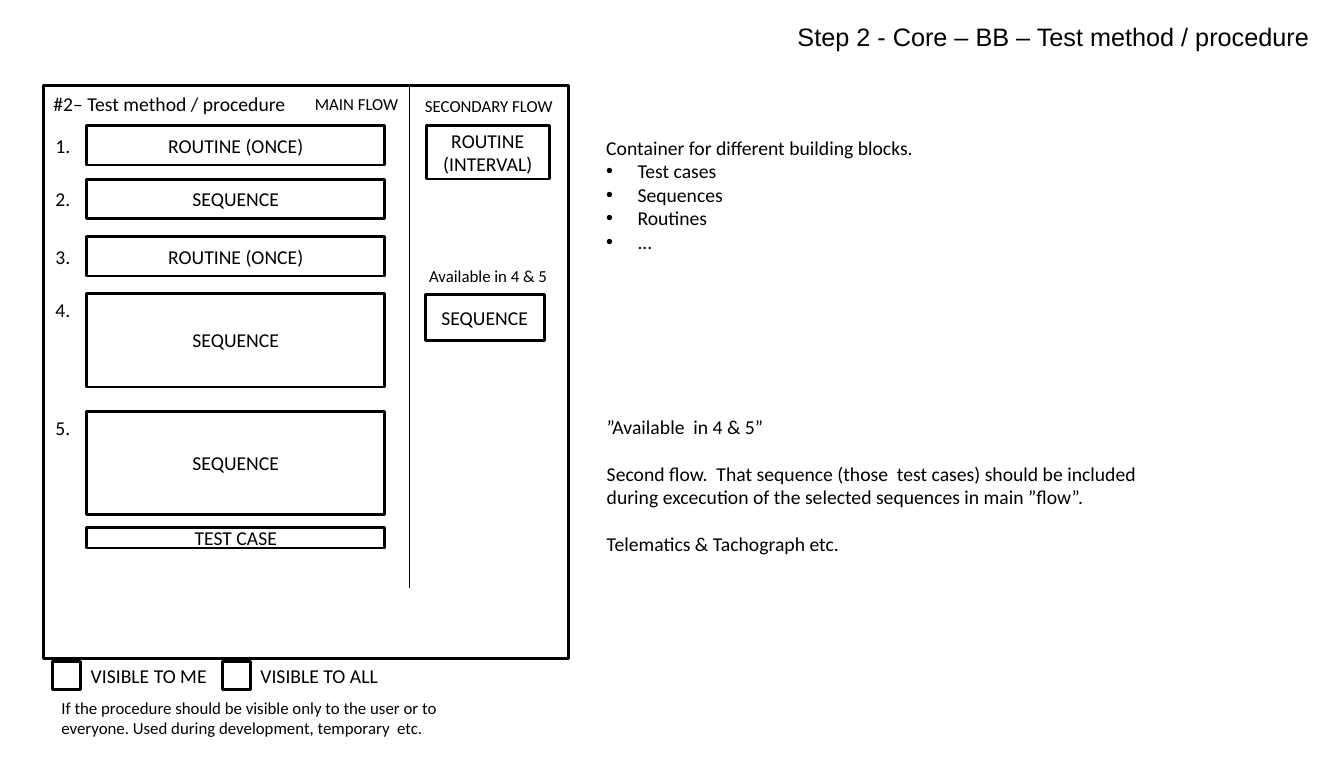
from dataclasses import dataclass

from lxml.etree import SubElement
from pptx import Presentation
from pptx.dml.color import RGBColor
from pptx.enum.shapes import MSO_CONNECTOR as Connector, MSO_SHAPE as Shape
from pptx.enum.text import MSO_ANCHOR as Anchor, MSO_AUTO_SIZE as AutoSize, PP_ALIGN as Align
from pptx.oxml.ns import qn
from pptx.slide import Slide
from pptx.text.text import TextFrame, _Paragraph as Paragraph
from pptx.util import Emu, Inches, Pt


@dataclass(frozen=True)
class Theme:
    ink: RGBColor = RGBColor(0, 0, 0)
    paper: RGBColor = RGBColor(255, 255, 255)
    heading_font: str = "Arial"
    body_font: str = "Calibri"
    heading: int = 18
    body: int = 14
    small: int = 12
    outline: float = 2
    divider: float = 0.75


@dataclass(frozen=True)
class Area:
    """Columns and rows of the slide grid."""
    left: float
    top: float
    width: float
    height: float

    def emu(self) -> tuple[Emu, ...]:
        return tuple(cells(n) for n in (self.left, self.top, self.width, self.height))


@dataclass(frozen=True)
class Line:
    text: str
    bulleted: bool = False
    gap: float = 0


@dataclass(frozen=True)
class Label:
    area: Area
    lines: tuple[Line, ...]
    size: int


@dataclass(frozen=True)
class Block:
    area: Area
    text: str = ""


@dataclass(frozen=True)
class Step:
    top: float
    height: float
    text: str
    number: str = ""


THEME = Theme()
SLIDE_WIDTH, SLIDE_HEIGHT = Emu(12169775), Emu(7021513)
CELL = Inches(0.1)
STEP_LEFT, STEP_WIDTH = 8.6, 29.5
NUMBER_LEFT, LABEL_HEIGHT = 4.5, 3.4
TALL_STEP = 5
PARAGRAPH_GAP = 16.5
DIVIDER_COLUMN, DIVIDER_TOP, DIVIDER_BOTTOM = 40.55, 8.3, 58.25
TITLE = "Step 2 - Core – BB – Test method / procedure"
TITLE_AREA = Area(77.35, 1.5, 53.5, 4.2)

STEPS = (
    Step(12.45, 3.9, "ROUTINE (ONCE)", "1."),
    Step(17.75, 3.9, "SEQUENCE", "2."),
    Step(23.45, 3.9, "ROUTINE (ONCE)", "3."),
    Step(29.05, 9.3, "SEQUENCE", "4."),
    Step(40.75, 10.2, "SEQUENCE", "5."),
    Step(52.3, 2, "TEST CASE"),
)
BLOCKS = (
    Block(Area(4.3, 8.5, 52, 56.75)),
    Block(Area(5.2, 65.55, 2.8, 2.8)),
    Block(Area(22, 65.55, 2.8, 2.8)),
    Block(Area(42.2, 12.45, 12.2, 5.3), "ROUTINE (INTERVAL)"),
    Block(Area(42.1, 29.2, 11.8, 4.5), "SEQUENCE"),
)
LABELS = (
    Label(Area(4.3, 8.6, 25.2, 3.4), (Line("#2– Test method / procedure"),), THEME.body),
    Label(Area(30.2, 8.8, 10.4, 3), (Line("MAIN FLOW"),), THEME.small),
    Label(Area(41.1, 9, 14.8, 3), (Line("SECONDARY FLOW"),), THEME.small),
    Label(Area(41.5, 25.85, 13.8, 3), (Line("Available in 4 & 5"),), THEME.small),
    Label(Area(8, 65.25, 13.6, 3.4), (Line("VISIBLE TO ME"),), THEME.body),
    Label(Area(24.8, 65.25, 14.2, 3.4), (Line("VISIBLE TO ALL"),), THEME.body),
    Label(Area(5.1, 68.65, 40, 5), (
        Line("If the procedure should be visible only to the user or to"),
        Line("everyone. Used during development, temporary  etc."),
    ), THEME.small),
    Label(Area(59.05, 12.95, 32.7, 15.2), (
        Line("Container for different building blocks."),
        Line("Test cases", bulleted=True),
        Line("Sequences", bulleted=True),
        Line("Routines", bulleted=True),
        Line("...", bulleted=True),
    ), THEME.body),
    Label(Area(59.1, 40.6, 54.9, 15.1), (
        Line("”Available  in 4 & 5”"),
        Line("Second flow.  That sequence (those  test cases) should be included",
             gap=PARAGRAPH_GAP),
        Line("during excecution of the selected sequences in main ”flow”."),
        Line("Telematics & Tachograph etc.", gap=PARAGRAPH_GAP),
    ), THEME.body),
)


def cells(count: float) -> Emu:
    return Emu(round(count * CELL))


def style(para: Paragraph, size: int, font: str = THEME.body_font) -> None:
    para.font.size = Pt(size)
    para.font.name = font
    para.font.color.rgb = THEME.ink


def add_bullet(para: Paragraph) -> None:
    properties = para._p.get_or_add_pPr()
    properties.set("marL", str(Inches(0.31)))
    properties.set("indent", str(-Inches(0.31)))
    SubElement(properties, qn("a:buFont"), typeface=THEME.heading_font)
    SubElement(properties, qn("a:buChar"), char="•")


def fill_lines(frame: TextFrame, lines: tuple[Line, ...], size: int) -> None:
    frame.text = "\n".join(line.text for line in lines)
    for para, line in zip(frame.paragraphs, lines):
        if line.gap:
            para.space_before = Pt(line.gap)
        if line.bulleted:
            add_bullet(para)
        style(para, size)


def add_label(page: Slide, label: Label) -> None:
    frame = page.shapes.add_textbox(*label.area.emu()).text_frame
    frame.word_wrap = False
    frame.auto_size = AutoSize.SHAPE_TO_FIT_TEXT
    fill_lines(frame, label.lines, label.size)


def add_block(page: Slide, block: Block) -> None:
    box = page.shapes.add_shape(Shape.RECTANGLE, *block.area.emu())
    box.shadow.inherit = False
    box.fill.solid()
    box.fill.fore_color.rgb = THEME.paper
    box.line.color.rgb = THEME.ink
    box.line.width = Pt(THEME.outline)
    if block.text:
        frame = box.text_frame
        frame.word_wrap = True
        frame.vertical_anchor = Anchor.MIDDLE
        fill_lines(frame, (Line(block.text),), THEME.body)
        frame.paragraphs[0].alignment = Align.CENTER


def add_step(page: Slide, step: Step) -> None:
    add_block(page, Block(Area(STEP_LEFT, step.top, STEP_WIDTH, step.height), step.text))
    if step.number:
        drop = 0 if step.height > TALL_STEP else 0.3
        area = Area(NUMBER_LEFT, step.top + drop, 3.5, LABEL_HEIGHT)
        add_label(page, Label(area, (Line(step.number),), THEME.body))


def add_divider(page: Slide) -> None:
    column = cells(DIVIDER_COLUMN)
    divider = page.shapes.add_connector(
        Connector.STRAIGHT, column, cells(DIVIDER_TOP), column, cells(DIVIDER_BOTTOM))
    divider.line.color.rgb = THEME.ink
    divider.line.width = Pt(THEME.divider)
    SubElement(divider._element.spPr, qn("a:effectLst"))


def set_title(page: Slide) -> None:
    title = page.shapes.title
    title.left, title.top, title.width, title.height = TITLE_AREA.emu()
    frame = title.text_frame
    frame.text = TITLE
    frame.word_wrap = False
    frame.auto_size = AutoSize.SHAPE_TO_FIT_TEXT
    frame.vertical_anchor = Anchor.TOP
    frame.margin_left = frame.margin_right = Inches(0.12)
    frame.margin_top = frame.margin_bottom = Inches(0.06)
    frame.paragraphs[0].alignment = Align.RIGHT
    style(frame.paragraphs[0], THEME.heading, THEME.heading_font)


def main() -> None:
    deck = Presentation()
    deck.slide_width, deck.slide_height = SLIDE_WIDTH, SLIDE_HEIGHT
    page = deck.slides.add_slide(deck.slide_layouts.get_by_name("Title Only"))
    set_title(page)
    for block in BLOCKS:
        add_block(page, block)
    for step in STEPS:
        add_step(page, step)
    add_divider(page)
    for label in LABELS:
        add_label(page, label)
    deck.save("out.pptx")


if __name__ == "__main__":
    main()
